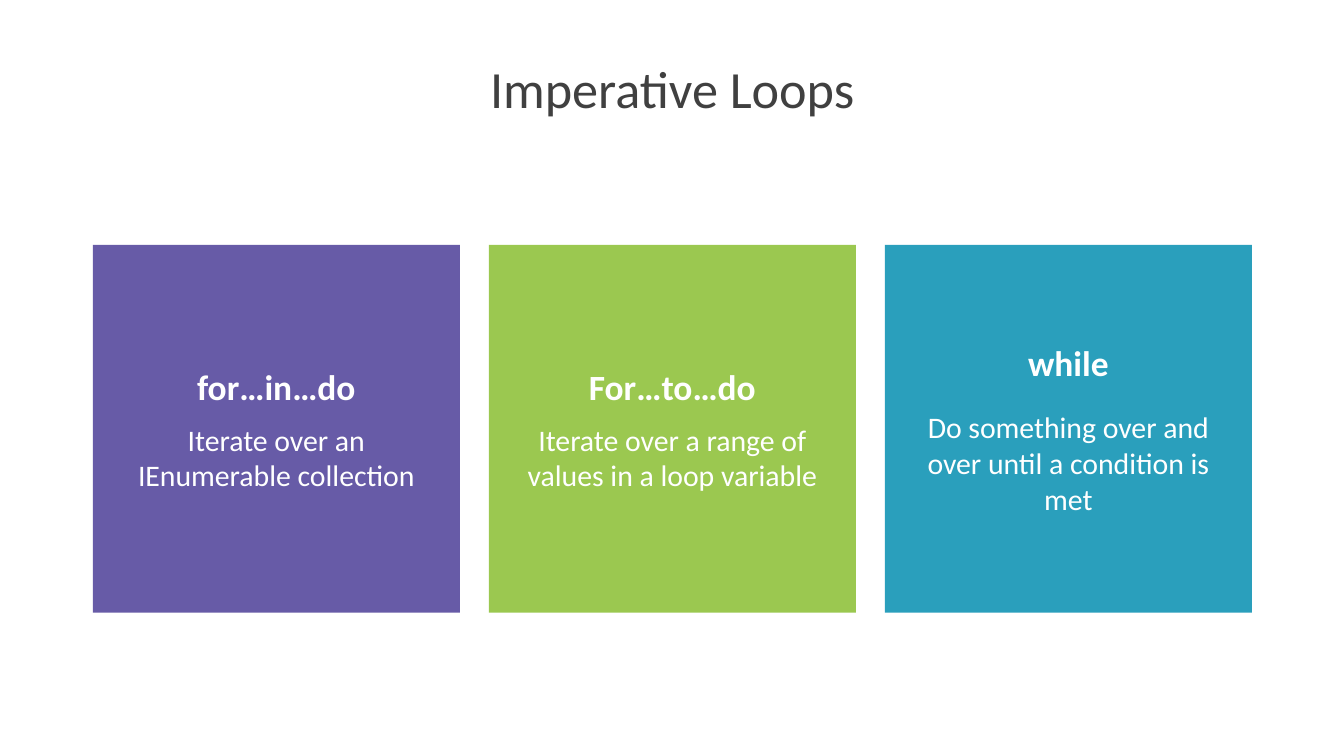
from pptx import Presentation
from pptx import util as u
from pptx.dml.color import RGBColor
from pptx.enum import shapes, text

WHITE = RGBColor(0xFF, 0xFF, 0xFF)
CHARCOAL = RGBColor(0x40, 0x40, 0x40)
PURPLE = RGBColor(0x67, 0x5B, 0xA7)
GREEN = RGBColor(0x9B, 0xC8, 0x50)
TEAL = RGBColor(0x2A, 0x9F, 0xBC)

LEFT = 2.34
CARD_TOP, CARD_WIDTH, CARD_HEIGHT, CARD_PITCH = 6.17, 9.25, 9.27, 9.98

LOOPS = [
    ("for…in…do", "Iterate over an IEnumerable collection", PURPLE, 10),
    ("For…to…do", "Iterate over a range of values in a loop variable", GREEN, 10),
    ("while", "Do something over and over until a condition is met", TEAL, 18),
]


def write(para, words, size, color, bold=False, before=0, spacing=1.0):
    """Fill a centred paragraph with formatted words."""
    para.alignment = text.PP_ALIGN.CENTER
    para.space_before = u.Pt(before)
    para.line_spacing = spacing
    span = para.add_run()
    span.text = words
    span.font.name = "Calibri"
    span.font.size = u.Pt(size)
    span.font.bold = bold
    span.font.color.rgb = color


class LoopSlide:
    """Hold the page and its style, and draw its elements."""

    def __init__(self, page):
        self.page = page
        self.inset = u.Cm(0.51)

    def title(self, words):
        """Draw the slide title."""
        box = self.page.shapes.add_textbox(u.Cm(LEFT), u.Cm(1.57), u.Cm(29.21), u.Cm(1.5))
        frame = box.text_frame
        frame.word_wrap = True
        frame.vertical_anchor = text.MSO_ANCHOR.MIDDLE
        write(frame.paragraphs[0], words, 37.3, CHARCOAL, spacing=0.9)

    def card(self, left, heading, body, color, gap):
        """Draw one coloured card with a heading and a description."""
        box = self.page.shapes.add_shape(
            shapes.MSO_SHAPE.RECTANGLE,
            u.Cm(left), u.Cm(CARD_TOP), u.Cm(CARD_WIDTH), u.Cm(CARD_HEIGHT))
        box.shadow.inherit = False
        box.fill.solid()
        box.fill.fore_color.rgb = color
        box.line.fill.background()
        frame = box.text_frame
        frame.word_wrap = True
        frame.vertical_anchor = text.MSO_ANCHOR.MIDDLE
        frame.margin_left = frame.margin_right = self.inset
        frame.margin_top = frame.margin_bottom = self.inset
        write(frame.paragraphs[0], heading, 25.3, WHITE, bold=True)
        write(frame.add_paragraph(), body, 21.3, WHITE, before=gap)


def main():
    """Build and save the deck."""
    deck = Presentation()
    deck.slide_width, deck.slide_height = u.Cm(33.87), u.Cm(19.05)
    slide = LoopSlide(deck.slides.add_slide(deck.slide_layouts[6]))
    slide.title("Imperative Loops")
    for index, loop in enumerate(LOOPS):
        slide.card(LEFT + index * CARD_PITCH, *loop)
    deck.save("out.pptx")


if __name__ == "__main__":
    main()
